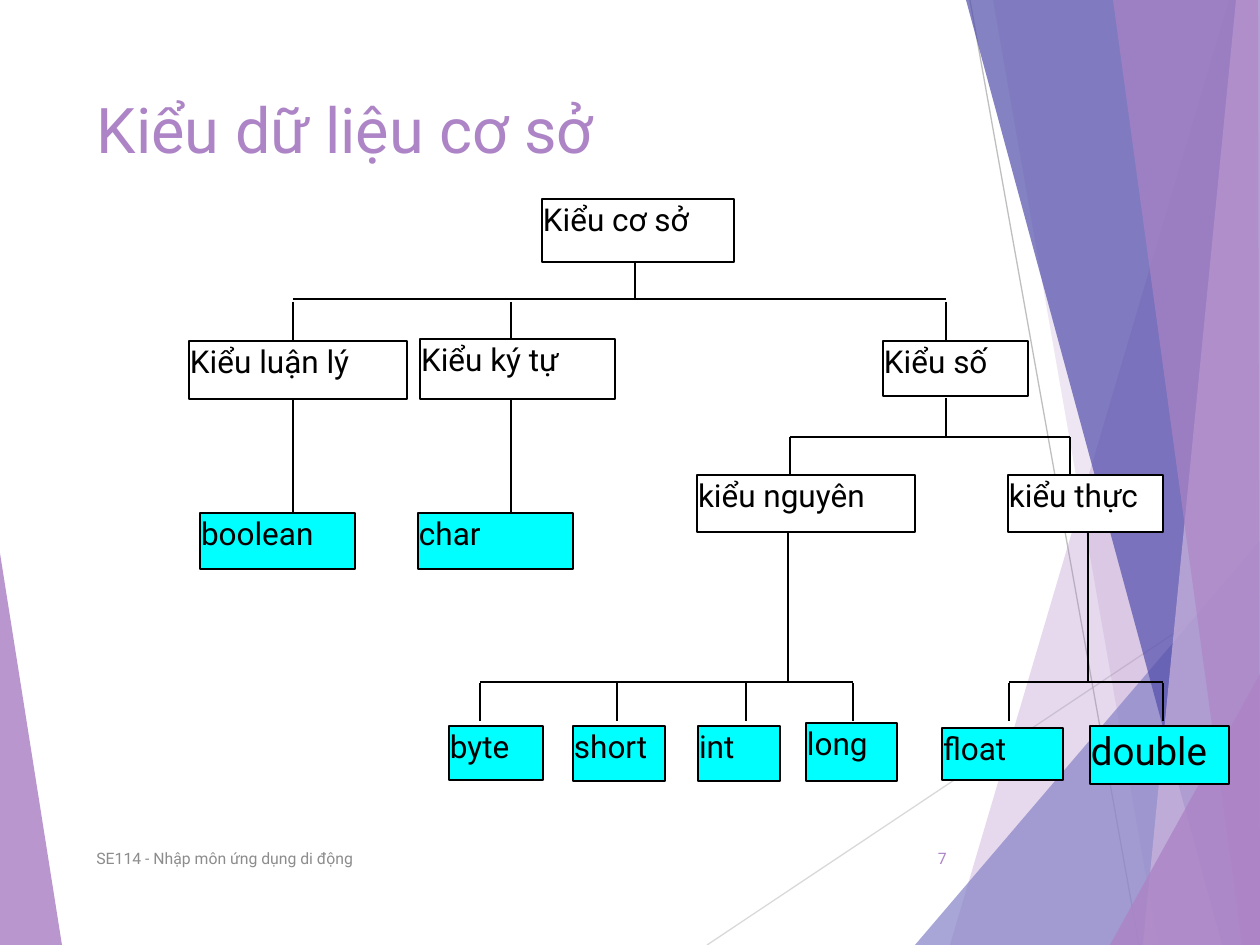
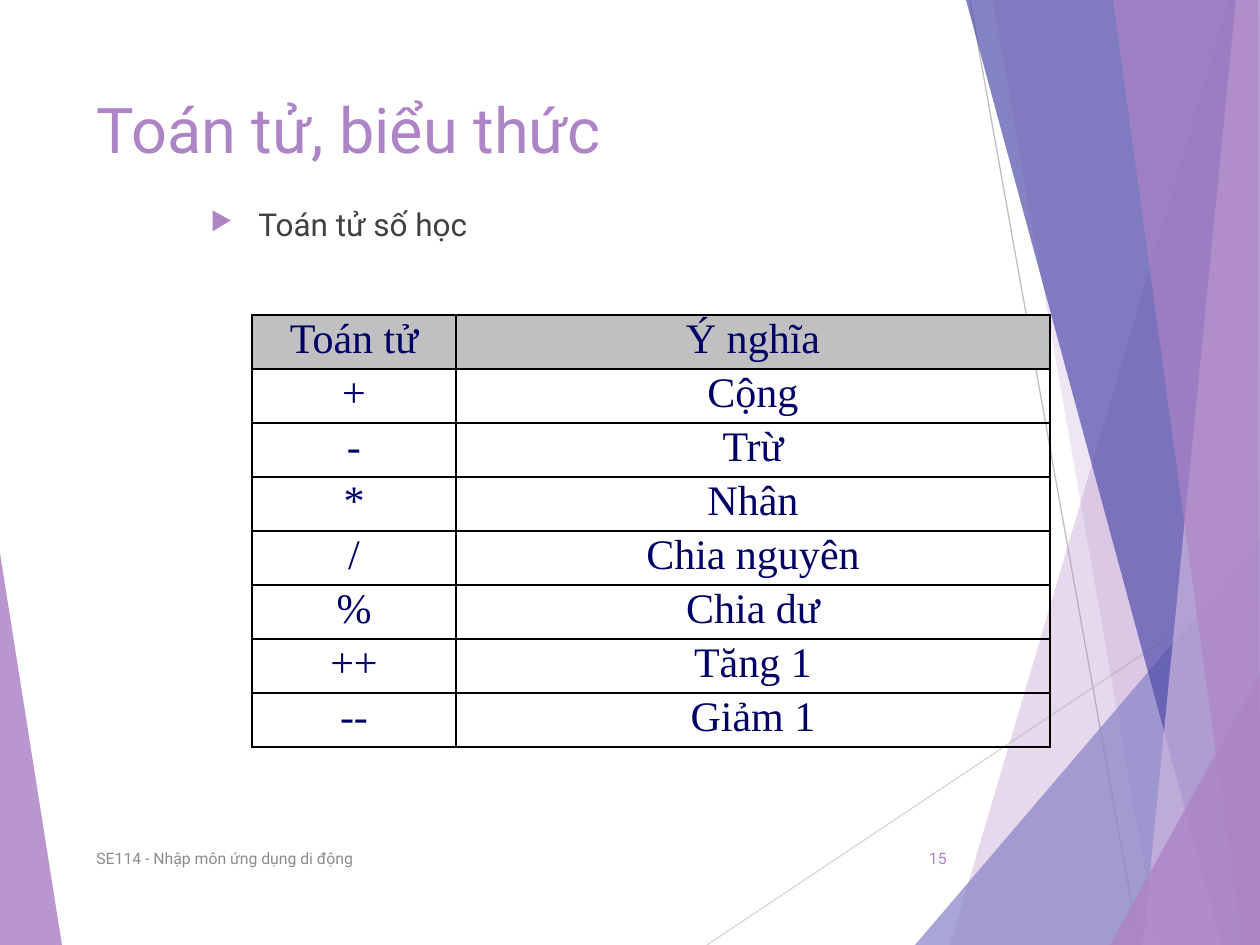
"""Build two lecture slides: a tree of basic data types and a table of operators."""
from lxml import etree
from pptx import Presentation
from pptx import util as u
from pptx.dml.color import RGBColor
from pptx.enum import shapes, text
from pptx.oxml.ns import qn

SCALE = 914400 / 126
WIDTH, HEIGHT = 1260, 945
FONT, TABLE_FONT = "Roboto", "Times New Roman"
COLORS = {
    "accent": "AD84C6", "pale": "CEB5DD", "blue": "8784C7", "indigo": "524EAB",
    "light line": "D9D9D9", "gray line": "BFBFBF", "footer": "8C8C8C",
    "body": "404040", "black": "000000", "white": "FFFFFF", "cyan": "00FFFF",
    "navy": "000066", "header": "C0C0C0",
}
FOOTER = "SE114 - Nhập môn ứng dụng di động"
LEFT_FACET = ("accent", 85, [(0, 553), (62, 945), (0, 945)])
FACET_LINES = [
    ("light line", (707, 945, 1260, 576)),
    ("gray line", (970, 0, 1139, 945)),
]
RIGHT_FACETS = [
    ("accent", 30, [(1229, 0), (950, 945), (1260, 945), (1260, 0)]),
    ("accent", 20, [(993, 0), (1158, 945), (1260, 945), (1260, 0)]),
    ("blue", 72, [(915, 945), (1260, 541), (1260, 945)]),
    ("indigo", 70, [(966, 0), (1222, 945), (1260, 945), (1260, 0)]),
    ("pale", 70, [(1236, 0), (1143, 945), (1260, 945), (1260, 0)]),
    ("accent", 65, [(1113, 0), (1242, 945), (1260, 945), (1258, 0)]),
    ("accent", 80, [(1110, 945), (1260, 674), (1260, 945)]),
]

TYPE_TITLE, TYPE_NUMBER = "Kiểu dữ liệu cơ sở", "7"
GROUPS = [
    ("Kiểu cơ sở", (542, 199, 192, 63)),
    ("Kiểu luận lý", (189, 341, 218, 58)),
    ("Kiểu ký tự", (420, 339, 195, 60)),
    ("Kiểu số", (883, 341, 145, 55)),
    ("kiểu nguyên", (697, 475, 218, 57)),
    ("kiểu thực", (1008, 475, 155, 57)),
]
TYPES = [
    ("boolean", (200, 513, 155, 56)),
    ("char", (418, 513, 155, 56)),
    ("byte", (449, 726, 94, 54)),
    ("short", (573, 726, 92, 55)),
    ("int", (698, 726, 82, 55)),
    ("long", (806, 723, 91, 58)),
    ("float", (942, 728, 121, 52)),
    ("double", (1090, 726, 139, 58)),
]
LARGE_TYPE = "double"
BRANCHES = [
    {"stem": 635, "top": 262, "rail": 299, "gap": 3, "drops": [293, 511, 946]},
    {"stem": 946, "top": 398, "rail": 437, "gap": 0, "drops": [790, 1070]},
    {"stem": 788, "top": 532, "rail": 682, "gap": 1, "drops": [480, 617, 746, 853]},
    {"stem": 1088, "top": 532, "rail": 682, "gap": 1, "drops": [1009, 1163]},
]
DROP = 38
SINGLE_STEMS = [(293, 399, 293, 512), (511, 399, 511, 513)]

OPERATOR_TITLE, OPERATOR_NUMBER = "Toán tử, biểu thức", "15"
OPERATOR_HEADING = "Toán tử số học"
OPERATORS = [
    ("Toán tử", "Ý nghĩa"),
    ("+", "Cộng"),
    ("-", "Trừ"),
    ("*", "Nhân"),
    ("/", "Chia nguyên"),
    ("%", "Chia dư"),
    ("++", "Tăng 1"),
    ("--", "Giảm 1"),
]
TABLE_LEFT, TABLE_TOP, COLUMNS, ROW = 252, 315, (204, 594), 54


def px(*lengths):
    return [u.Emu(round(length * SCALE)) for length in lengths]


def rgb(name):
    return RGBColor.from_string(COLORS[name])


def add_element(parent, tag, **attributes):
    return etree.SubElement(parent, qn(tag), attributes)


def write(frame, words, size, color, align=text.PP_ALIGN.LEFT, font=FONT):
    para = frame.paragraphs[0]
    para.text = words
    para.alignment = align
    para.font.name, para.font.size = font, u.Pt(size)
    para.font.color.rgb = rgb(color)
    return para


def add_text(page, place, words, size, color, anchor, align=text.PP_ALIGN.LEFT):
    frame = page.shapes.add_textbox(*px(*place)).text_frame
    frame.word_wrap = True
    frame.vertical_anchor = anchor
    return write(frame, words, size, color, align)


def add_line(page, ends, color="black"):
    line = page.shapes.add_connector(shapes.MSO_CONNECTOR.STRAIGHT, *px(*ends))
    line.line.color.rgb = rgb(color)
    line.line.width = u.Pt(0.75)
    add_element(line.element.spPr, "a:effectLst")


def add_facet(page, color, opacity, points):
    builder = page.shapes.build_freeform(*points[0], scale=SCALE)
    builder.add_line_segments(points[1:], close=True)
    facet = builder.convert_to_shape()
    facet.shadow.inherit = False
    facet.fill.solid()
    facet.fill.fore_color.rgb = rgb(color)
    facet.line.fill.background()
    shade = next(facet.element.spPr.iter(qn("a:srgbClr")))
    add_element(shade, "a:alpha", val=str(opacity * 1000))


def add_page(deck, heading, number):
    page = deck.slides.add_slide(deck.slide_layouts.get_by_name("Title Only"))
    add_facet(page, *LEFT_FACET)
    for color, ends in FACET_LINES:
        add_line(page, ends, color)
    for facet in RIGHT_FACETS:
        add_facet(page, *facet)
    title = page.shapes.title
    title.left, title.top, title.width, title.height = px(84, 84, 875, 181)
    title.text_frame.vertical_anchor = text.MSO_ANCHOR.TOP
    title.text_frame.auto_size = text.MSO_AUTO_SIZE.NONE
    write(title.text_frame, heading, 36, "accent")
    middle = text.MSO_ANCHOR.MIDDLE
    add_text(page, (84, 833, 638, 50), FOOTER, 9, "footer", middle)
    add_text(page, (888, 833, 71, 50), number, 9, "accent", middle, text.PP_ALIGN.RIGHT)
    return page


def add_node(page, name, place, fill):
    node = page.shapes.add_shape(shapes.MSO_SHAPE.RECTANGLE, *px(*place))
    node.shadow.inherit = False
    node.fill.solid()
    node.fill.fore_color.rgb = rgb(fill)
    node.line.color.rgb = rgb("black")
    node.line.width = u.Pt(0.75)
    frame = node.text_frame
    frame.margin_left, frame.margin_top, frame.margin_right, frame.margin_bottom = px(1, 1, 1, 1)
    frame.vertical_anchor = text.MSO_ANCHOR.TOP
    write(frame, name, 22 if name == LARGE_TYPE else 18, "black")


def add_branch(page, stem, top, rail, gap, drops):
    add_line(page, (stem, top, stem, rail))
    add_line(page, (drops[0], rail, drops[-1], rail))
    for drop in drops:
        add_line(page, (drop, rail + gap, drop, rail + gap + DROP))


def add_type_tree(page):
    for fill, nodes in (("white", GROUPS), ("cyan", TYPES)):
        for name, place in nodes:
            add_node(page, name, place, fill)
    for branch in BRANCHES:
        add_branch(page, **branch)
    for ends in SINGLE_STEMS:
        add_line(page, ends)


def add_bullet(para):
    para.space_before = u.Pt(10)
    indent = px(48)[0]
    props = para._p.get_or_add_pPr()
    props.set("marL", str(indent))
    props.set("indent", str(-indent))
    bullet = [etree.Element(qn("a:buClr")), etree.Element(qn("a:buSzPct"), val="80000"),
              etree.Element(qn("a:buChar"), char="▶")]
    add_element(bullet[0], "a:srgbClr", val=COLORS["accent"])
    spacing = props.find(qn("a:spcBef"))
    for element in reversed(bullet):
        spacing.addnext(element)


def format_cell(cell, words, is_header):
    props = cell._tc.get_or_add_tcPr()
    for side in ("a:lnL", "a:lnR", "a:lnT", "a:lnB"):
        border = add_element(props, side, w=str(u.Pt(1)))
        fill = add_element(border, "a:solidFill")
        add_element(fill, "a:srgbClr", val=COLORS["black"])
    if is_header:
        cell.fill.solid()
        cell.fill.fore_color.rgb = rgb("header")
    else:
        cell.fill.background()
    cell.margin_left, cell.margin_top, cell.margin_right, cell.margin_bottom = px(1, 1, 1, 1)
    write(cell.text_frame, words, 24, "navy", text.PP_ALIGN.CENTER, TABLE_FONT)


def add_operator_table(page):
    size = sum(COLUMNS), ROW * len(OPERATORS)
    table = page.shapes.add_table(
        len(OPERATORS), len(COLUMNS), *px(TABLE_LEFT, TABLE_TOP, *size)).table
    table.first_row = table.horz_banding = False
    for column, width in zip(table.columns, px(*COLUMNS)):
        column.width = width
    for index, row in enumerate(OPERATORS):
        table.rows[index].height = px(ROW)[0]
        for cell, words in zip(table.rows[index].cells, row):
            format_cell(cell, words, index == 0)


def main():
    deck = Presentation()
    deck.slide_width, deck.slide_height = px(WIDTH, HEIGHT)
    add_type_tree(add_page(deck, TYPE_TITLE, TYPE_NUMBER))
    page = add_page(deck, OPERATOR_TITLE, OPERATOR_NUMBER)
    place = (198, 199, 1033, 105)
    add_bullet(add_text(page, place, OPERATOR_HEADING, 18, "body", text.MSO_ANCHOR.TOP))
    add_operator_table(page)
    deck.save("out.pptx")


if __name__ == "__main__":
    main()
